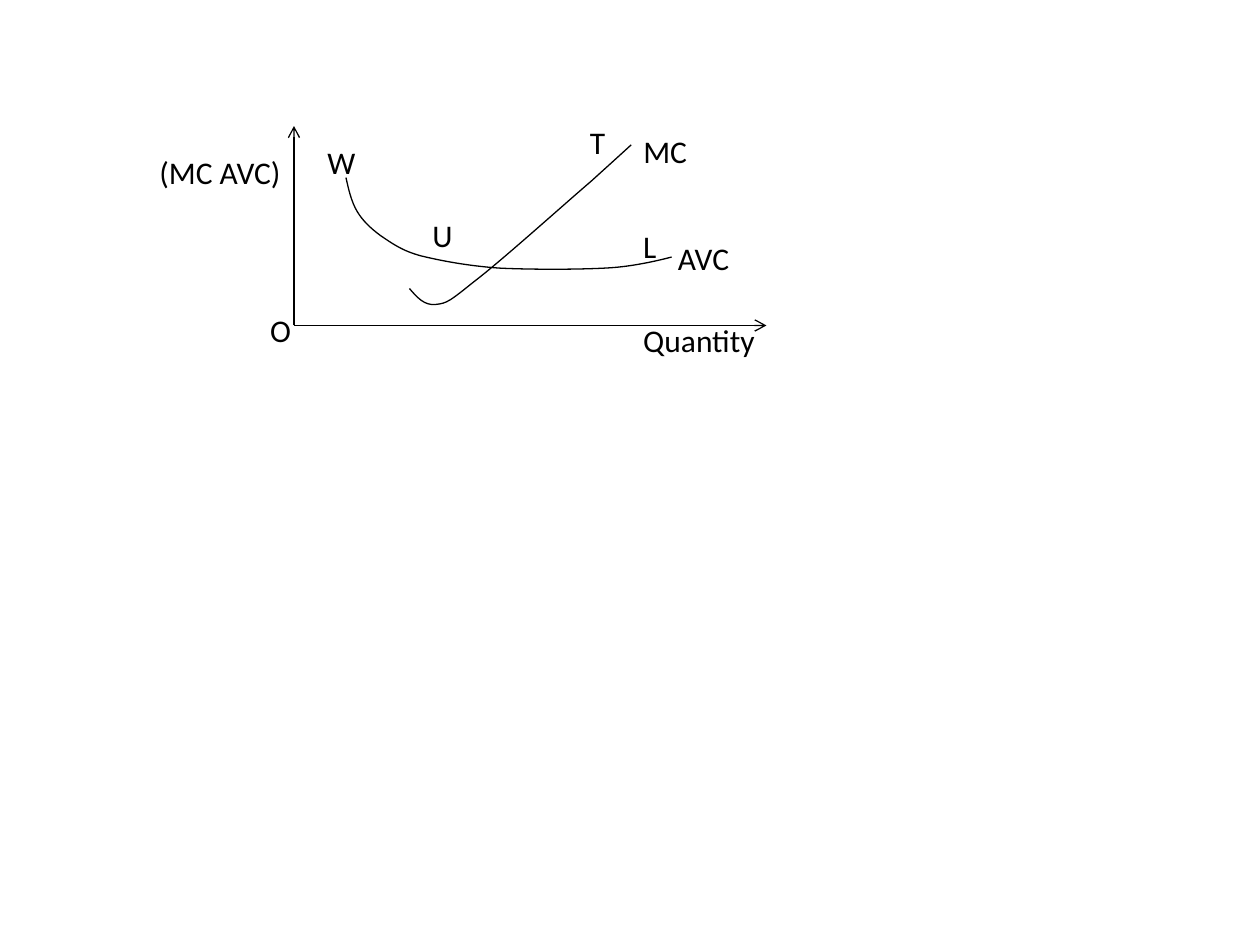
from typing import NamedTuple

from lxml.etree import SubElement
from pptx import Presentation
from pptx.dml.color import RGBColor
from pptx.enum.shapes import MSO_CONNECTOR
from pptx.enum.text import MSO_AUTO_SIZE
from pptx.oxml.ns import qn
from pptx.util import Pt

BLACK = "000000"
Point = tuple[float, float]


class Label(NamedTuple):
    text: str
    left: float
    top: float
    width: float


class Curve(NamedTuple):
    start: Point
    bends: list[Point]  # three per segment: two handles, then the end


# Axes: shared origin, then the tips of the cost and quantity axes
ORIGIN = (168, 186)
TIPS = [(168, 72), (438, 186)]

AVC = Curve((197.7, 101.5), [
    (199.2, 108), (200.7, 115.2), (204.2, 121),
    (207.2, 126), (211.6, 130.3), (217.4, 134.6),
    (223.9, 139), (229.7, 143.3), (240.5, 146.2),
    (252, 149), (267.1, 151.9), (285.1, 153.2),
    (303.1, 154.1), (332.6, 154.1), (349.2, 153),
    (365.8, 151.9), (383.8, 146.9), (383.8, 146.9)])

MC = Curve((234, 164.9), [
    (238.3, 169.9), (242.6, 174.8), (249.1, 174),
    (255.6, 173.3), (257, 172.1), (271.4, 160.6),
    (286.6, 149), (322.6, 116.6), (337.7, 103.7),
    (352.1, 90.7), (360.7, 82.8), (360.7, 82.8)])

LABELS = [
    Label("W", 180, 78, 31),
    Label("T", 330, 67, 23),
    Label("MC", 360.5, 72, 39.5),
    Label("AVC", 380.3, 133, 44),
    Label("L", 360.5, 126, 22.5),
    Label("U", 240, 120, 26),
    Label("(MC AVC)", 84, 84, 85),
    Label("Quantity", 360.5, 180, 83.5),
    Label("O", 147.3, 174, 26.5),
]


def color(code: str) -> RGBColor:
    return RGBColor.from_string(code)


def ink(line, code: str = BLACK, width: float = 0.75) -> None:
    line.color.rgb = color(code)
    line.width = Pt(width)


def write(frame, text: str, *, size: float = 18, font: str = "Calibri",
          code: str = BLACK) -> None:
    run = frame.paragraphs[0].add_run()
    run.text = text
    run.font.size = Pt(size)
    run.font.name = font
    run.font.color.rgb = color(code)


def draw_axis(slide, tip: Point) -> None:
    ends = [Pt(v) for v in (*ORIGIN, *tip)]
    axis = slide.shapes.add_connector(MSO_CONNECTOR.STRAIGHT, *ends)
    ink(axis.line)
    SubElement(axis.line._get_or_add_ln(), qn("a:tailEnd"), type="arrow")
    SubElement(axis._element.spPr, qn("a:effectLst"))


def draw_curve(slide, curve: Curve) -> None:
    pen = slide.shapes.build_freeform(*(Pt(v) for v in curve.start))
    pen.add_line_segments([(Pt(x), Pt(y)) for x, y in curve.bends], close=False)
    shape = pen.convert_to_shape()
    shape.shadow.inherit = False
    shape.fill.background()
    ink(shape.line)
    # Turn each three line steps into one Bezier segment
    steps = shape._element.xpath(".//a:lnTo")
    for i in range(0, len(steps), 3):
        bend = SubElement(steps[i].getparent(), qn("a:cubicBezTo"))
        for step in steps[i:i + 3]:
            bend.append(step[0])
            step.getparent().remove(step)


def draw_label(slide, label: Label) -> None:
    box = slide.shapes.add_textbox(
        Pt(label.left), Pt(label.top), Pt(label.width), Pt(29))
    frame = box.text_frame
    frame.word_wrap = False
    frame.auto_size = MSO_AUTO_SIZE.SHAPE_TO_FIT_TEXT
    write(frame, label.text)


def main() -> None:
    deck = Presentation()
    deck.slide_width, deck.slide_height = Pt(720), Pt(540)
    slide = deck.slides.add_slide(deck.slide_layouts[6])
    for tip in TIPS:
        draw_axis(slide, tip)
    for curve in (AVC, MC):
        draw_curve(slide, curve)
    for label in LABELS:
        draw_label(slide, label)
    deck.save("out.pptx")


if __name__ == "__main__":
    main()
